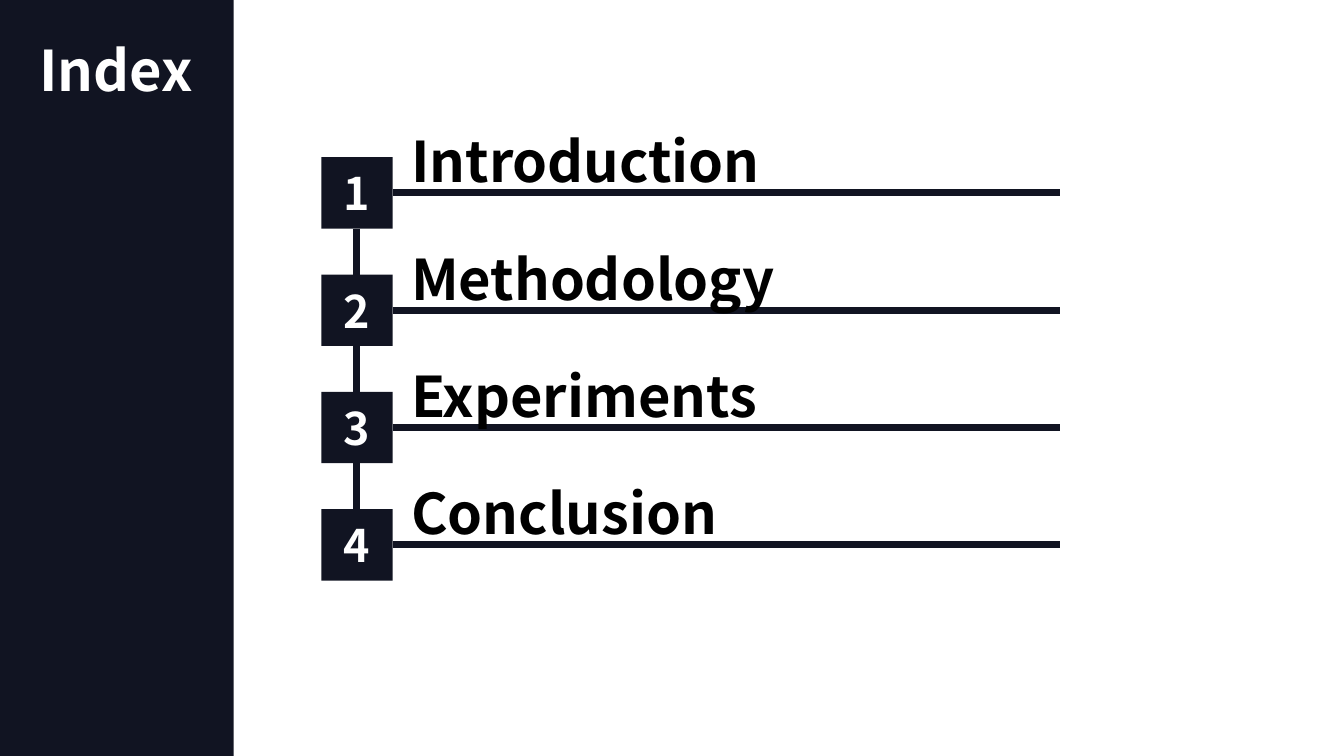
from dataclasses import dataclass

from lxml import etree
from pptx import Presentation, util as u
from pptx.dml.color import RGBColor
from pptx.enum import shapes, text
from pptx.oxml import ns


@dataclass(frozen=True)
class Theme:
    font: str = "Noto Sans CJK KR"
    navy: RGBColor = RGBColor(0x11, 0x14, 0x22)
    white: RGBColor = RGBColor(255, 255, 255)
    black: RGBColor = RGBColor(0, 0, 0)
    heading_size: int = 40
    number_size: int = 32
    rule_width: int = 5


class IndexPage:
    def __init__(self, page, theme):
        self.page = page
        self.theme = theme

    def set_text(self, box, words, size, color, align=text.PP_ALIGN.LEFT):
        frame = box.text_frame
        frame.text = words
        frame.word_wrap = True
        frame.auto_size = text.MSO_AUTO_SIZE.NONE
        frame.vertical_anchor = text.MSO_ANCHOR.MIDDLE
        frame.margin_top = frame.margin_bottom = 0
        para = frame.paragraphs[0]
        para.alignment = align
        para.font.name = self.theme.font
        para.font.size = u.Pt(size)
        para.font.bold = True
        para.font.color.rgb = color

    def title(self, words, left, top, width, height):
        box = self.page.shapes.title
        box.left, box.top = u.Pt(left), u.Pt(top)
        box.width, box.height = u.Pt(width), u.Pt(height)
        self.set_text(box, words, self.theme.heading_size, self.theme.white)

    def block(self, left, top, width, height):
        box = self.page.shapes.add_shape(
            shapes.MSO_SHAPE.RECTANGLE,
            u.Pt(left), u.Pt(top), u.Pt(width), u.Pt(height))
        box.shadow.inherit = False
        box.fill.solid()
        box.fill.fore_color.rgb = self.theme.navy
        box.line.fill.background()
        return box

    def sidebar(self, width, height):
        bar = self.block(0, 0, width, height)
        self.page.shapes.title.element.addprevious(bar.element)

    def number(self, value, left, top, side):
        box = self.block(left, top, side, side)
        self.set_text(box, str(value), self.theme.number_size,
                      self.theme.white, text.PP_ALIGN.CENTER)
        return box

    def heading(self, words, left, top, width, height):
        box = self.page.shapes.add_textbox(
            u.Pt(left), u.Pt(top), u.Pt(width), u.Pt(height))
        self.set_text(box, words, self.theme.heading_size, self.theme.black)

    def rule(self, start, site, end_x, end_y):
        line = self.page.shapes.add_connector(
            shapes.MSO_CONNECTOR.STRAIGHT, 0, 0, u.Pt(end_x), u.Pt(end_y))
        line.begin_connect(start, site)
        line.line.color.rgb = self.theme.navy
        line.line.width = u.Pt(self.theme.rule_width)
        etree.SubElement(line.element.spPr, ns.qn("a:effectLst"))
        return line


def main():
    deck = Presentation()
    deck.slide_width, deck.slide_height = u.Pt(960), u.Pt(540)
    index = IndexPage(deck.slides.add_slide(deck.slide_layouts[5]), Theme())
    index.sidebar(167, 540)
    index.title("Index", 20.9, 21.6, 132.5, 55.4)

    left, first_top, side, pitch = 229.5, 112.3, 51, 83.8
    rule_end = 757.4
    sections = ["Introduction", "Methodology", "Experiments", "Conclusion"]
    previous = None
    for row, words in enumerate(sections):
        top = first_top + row * pitch
        box = index.number(row + 1, left, top, side)
        index.rule(box, 3, rule_end, top + side / 2)
        index.heading(words, 286.6, top - 25.3, 462, 55.4)
        if previous is not None:
            link = index.rule(previous, 2, left + side / 2, top)
            link.end_connect(box, 0)
        previous = box

    deck.save("out.pptx")


if __name__ == "__main__":
    main()
